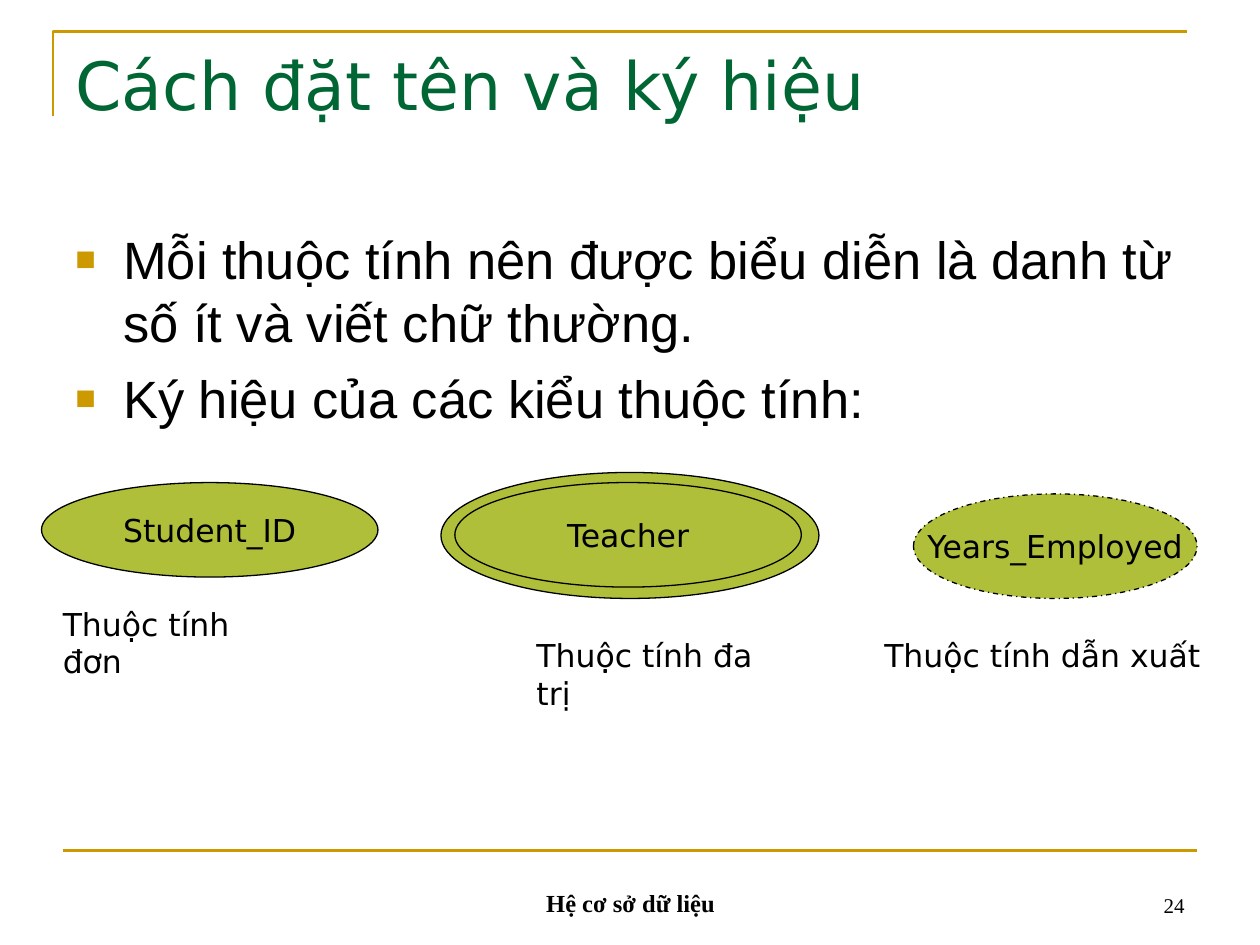
import pptx
import pptx.dml.color
import pptx.enum.dml
import pptx.enum.shapes
import pptx.enum.text
import pptx.oxml
import pptx.oxml.ns
import pptx.util

WIDTH, HEIGHT = 10, 7.5
COLUMN, ROW = WIDTH / 120, HEIGHT / 90  # grid of 1/12 inch

COLORS = {
    "rule": "CC9900",
    "title": "006633",
    "text": "000000",
    "oval": "AFBF39",
}
SANS, BODY, SERIF = "DejaVu Sans", "Arial", "Times New Roman"
ALIGN = pptx.enum.text.PP_ALIGN
ANCHOR = pptx.enum.text.MSO_ANCHOR


def color(name):
    return pptx.dml.color.RGBColor.from_string(COLORS[name])


def place(column, row, columns, rows):
    """Turn grid units into left, top, width, height."""
    return [pptx.util.Inches(round(size, 2)) for size in
            (column * COLUMN, row * ROW, columns * COLUMN, rows * ROW)]


def style_text(para, font, size, ink="text", bold=False, align=ALIGN.LEFT):
    para.alignment = align
    for span in para.runs:
        span.font.name = font
        span.font.size = pptx.util.Pt(size)
        span.font.bold = bold
        span.font.color.rgb = color(ink)


def style_line(line, ink, width):
    line.color.rgb = color(ink)
    line.width = pptx.util.Pt(width)


def add_text(page, text, cell, font, size, anchor=ANCHOR.TOP, **style):
    frame = page.shapes.add_textbox(*place(*cell)).text_frame
    frame.word_wrap = True
    frame.vertical_anchor = anchor
    frame.text = text
    for para in frame.paragraphs:
        style_text(para, font, size, **style)
    return frame


def add_bullet(para, indent=0.38):
    properties = para._p.get_or_add_pPr()
    properties.set("marL", str(pptx.util.Inches(indent)))
    properties.set("indent", str(-pptx.util.Inches(indent)))
    namespace = pptx.oxml.ns.nsdecls("a")
    for markup in (
        f'<a:buClr {namespace}><a:srgbClr val="{COLORS["rule"]}"/></a:buClr>',
        f'<a:buSzPct {namespace} val="65000"/>',
        f'<a:buFont {namespace} typeface="{BODY}"/>',
        f'<a:buChar {namespace} char="■"/>',
    ):
        properties.append(pptx.oxml.parse_xml(markup))


def add_bullets(page, lines, cell):
    frame = add_text(page, "\n".join(lines), cell, BODY, 30)
    for number, para in enumerate(frame.paragraphs):
        add_bullet(para)
        if number:
            para.space_before = pptx.util.Pt(7.5)


def add_oval(shapes, cell, text="", dash=None):
    oval = shapes.add_shape(pptx.enum.shapes.MSO_SHAPE.OVAL, *place(*cell))
    oval.shadow.inherit = False
    oval.fill.solid()
    oval.fill.fore_color.rgb = color("oval")
    style_line(oval.line, "text", 0.75)
    if dash:
        oval.line.dash_style = dash
    if text:
        frame = oval.text_frame
        frame.word_wrap = False
        frame.vertical_anchor = ANCHOR.MIDDLE
        frame.text = text
        style_text(frame.paragraphs[0], SANS, 18, align=ALIGN.CENTER)


def add_frame(page):
    # Open corner around the title
    left, top, width, height = place(5, 3, 108, 8)
    builder = page.shapes.build_freeform(left, top + height)
    builder.add_line_segments([(left, top), (left + width, top)], close=False)
    corner = builder.convert_to_shape()
    corner.shadow.inherit = False
    corner.fill.background()
    style_line(corner.line, "rule", 1.5)

    # Rule above the footer
    left, top, width, _ = place(6, 81, 108, 0)
    rule = page.shapes.add_connector(
        pptx.enum.shapes.MSO_CONNECTOR.STRAIGHT, left, top, left + width, top)
    style_line(rule.line, "rule", 1.5)
    rule._element.spPr.append(pptx.oxml.parse_xml(
        f'<a:effectLst {pptx.oxml.ns.nsdecls("a")}/>'))


def add_footer(page):
    add_text(page, "Hệ cơ sở dữ liệu", (41, 82, 38, 6), SERIF, 14,
             anchor=ANCHOR.BOTTOM, bold=True, align=ALIGN.CENTER)
    add_text(page, "24", (86, 82, 28, 6), SERIF, 12,
             anchor=ANCHOR.BOTTOM, align=ALIGN.RIGHT)


def add_attribute_kinds(page):
    # Simple attribute
    add_oval(page.shapes, (4, 46, 32, 9), "Student_ID")

    # Multivalued attribute: double outline
    double = page.shapes.add_group_shape()
    add_oval(double.shapes, (42, 45, 36, 12))
    add_oval(double.shapes, (43.3, 46, 33, 10), "Teacher")

    # Derived attribute: dashed outline
    add_oval(page.shapes, (87, 47, 27, 10), "Years_Employed",
             dash=pptx.enum.dml.MSO_LINE.DASH_DOT)

    # Captions
    for text, column, row, columns in (
        ("Thuộc tính đơn", 4.8, 57, 23.6),
        ("Thuộc tính đa trị", 49.9, 60, 25.6),
        ("Thuộc tính dẫn xuất", 83, 60, 32.7),
    ):
        add_text(page, text, (column, row, columns, 4.8), SANS, 18)


def main():
    deck = pptx.Presentation()
    deck.slide_width = pptx.util.Inches(WIDTH)
    deck.slide_height = pptx.util.Inches(HEIGHT)
    page = deck.slides.add_slide(deck.slide_layouts[6])

    add_frame(page)
    add_footer(page)
    add_text(page, "Cách đặt tên và ký hiệu", (6, 3.6, 108, 15), SANS, 38,
             ink="title")
    add_bullets(page, (
        "Mỗi thuộc tính nên được biểu diễn là danh từ số ít và viết chữ thường.",
        "Ký hiệu của các kiểu thuộc tính:",
    ), (6, 21, 108, 59.4))
    add_attribute_kinds(page)
    deck.save("out.pptx")


if __name__ == "__main__":
    main()
